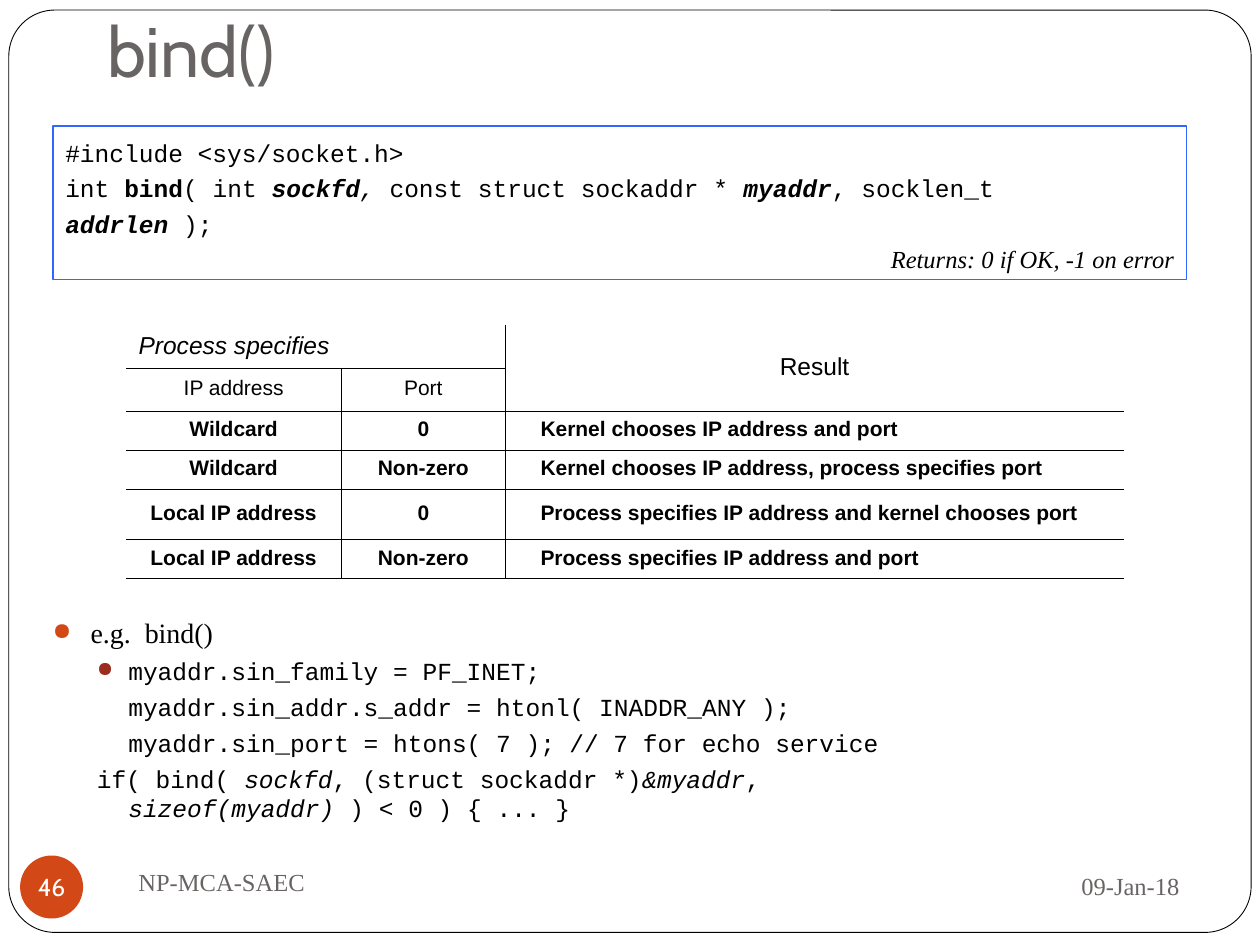
from lxml.etree import SubElement
from pptx import Presentation
from pptx.dml.color import RGBColor
from pptx.enum.shapes import MSO_SHAPE as SHAPE
from pptx.enum.text import MSO_ANCHOR as ANCHOR, PP_ALIGN as ALIGN
from pptx.oxml.ns import qn
from pptx.util import Emu, Inches, Pt

SLIDE_W, SLIDE_H = Inches(10), Inches(7.5)
COLS, ROWS = 100, 75
MONO, SERIF, SANS, HEAD = "Courier New", "Times New Roman", "Arial", "Cabin"
BLACK, GRAY, WHITE, ORANGE, RUST, BLUE = (
    "000000", "696464", "FFFFFF", "D34817", "9B2D1F", "3366FF")

RESULTS = [
    ("Wildcard", "0", "Kernel chooses IP address and port"),
    ("Wildcard", "Non-zero", "Kernel chooses IP address, process specifies port"),
    ("Local IP address", "0", "Process specifies IP address and kernel chooses port"),
    ("Local IP address", "Non-zero", "Process specifies IP address and port"),
]


def color(hex_code):
    return RGBColor.from_string(hex_code)


def across(n):
    return Emu(round(SLIDE_W * n / COLS))


def down(n):
    return Emu(round(SLIDE_H * n / ROWS))


def grid(x, y, w, h):
    return across(x), down(y), across(w), down(h)


def add_runs(p, parts, size, font, ink=BLACK):
    for text, style in parts:
        if text == "\n":
            p.add_line_break()
            continue
        r = p.add_run()
        r.text = text
        r.font.size, r.font.name = Pt(size), font
        r.font.bold, r.font.italic = "b" in style, "i" in style
        r.font.color.rgb = color(ink)


def next_paragraph(tf):
    return tf.paragraphs[0] if not tf.paragraphs[0].runs else tf.add_paragraph()


def add_shape(s, kind, box, fill=None, line=None, width=0.75):
    sp = s.shapes.add_shape(kind, *box)
    sp.shadow.inherit = False
    if fill:
        sp.fill.solid()
        sp.fill.fore_color.rgb = color(fill)
    else:
        sp.fill.background()
    if line:
        sp.line.color.rgb = color(line)
        sp.line.width = Pt(width)
    else:
        sp.line.fill.background()
    return sp


def add_label(s, box, text, align):
    tf = s.shapes.add_textbox(*box).text_frame
    tf.word_wrap, tf.vertical_anchor = True, ANCHOR.MIDDLE
    p = tf.paragraphs[0]
    p.alignment = align
    add_runs(p, [(text, "")], 14, SERIF, GRAY)


def set_indent(p, left, hanging=0, bullet=None, tab=None):
    pPr = p._p.get_or_add_pPr()
    pPr.set("marL", str(Inches(left)))
    pPr.set("indent", str(-Inches(hanging)))
    if bullet:
        SubElement(SubElement(pPr, qn("a:buClr")), qn("a:srgbClr"), val=bullet)
        SubElement(pPr, qn("a:buSzPct"), val="85000")
        SubElement(pPr, qn("a:buChar"), char="●")
    else:
        SubElement(pPr, qn("a:buNone"))
    if tab:
        SubElement(SubElement(pPr, qn("a:tabLst")), qn("a:tab"),
                   pos=str(Inches(tab)), algn="l")


def set_borders(cell, sides):
    tcPr = cell._tc.get_or_add_tcPr()
    for side in "LRTB":
        if side in sides:
            ln = SubElement(tcPr, qn("a:ln" + side), w=str(Pt(0.23)))
            SubElement(SubElement(ln, qn("a:solidFill")), qn("a:srgbClr"), val=BLACK)
        else:
            ln = SubElement(tcPr, qn("a:ln" + side), w="0")
            SubElement(ln, qn("a:noFill"))


def fill_cell(cell, text, size, style="", align=ALIGN.CENTER):
    p = cell.text_frame.paragraphs[0]
    p.alignment, p.line_spacing, p.space_before = align, 0.94, Pt(size * 0.63)
    add_runs(p, [(text, style)], size, SANS)


def add_title(s):
    title = s.shapes.title
    title.left, title.top, title.width, title.height = grid(7.5, 0, 85, 8.3)
    tf = title.text_frame
    tf.vertical_anchor, tf.margin_bottom = ANCHOR.BOTTOM, Inches(0.1)
    p = tf.paragraphs[0]
    p.alignment = ALIGN.LEFT
    add_runs(p, [("bind()", "")], 40, HEAD, GRAY)


def add_signature(s):
    tf = add_shape(s, SHAPE.RECTANGLE, grid(4.2, 10, 90, 12.2), line=BLUE).text_frame
    tf.word_wrap, tf.vertical_anchor = True, ANCHOR.TOP
    lines = [
        ([("#include <sys/socket.h>", "")], MONO, ALIGN.LEFT),
        ([("int ", ""), ("bind", "b"), ("( int ", ""), ("sockfd", "bi"), (",", "i"),
          (" const struct sockaddr * ", ""), ("myaddr", "bi"), (", socklen_t", ""),
          ("\n", ""), ("addrlen", "bi"), (" );", "")], MONO, ALIGN.LEFT),
        ([("Returns: 0 if OK, -1 on error", "i")], SERIF, ALIGN.RIGHT),
    ]
    for parts, font, align in lines:
        p = next_paragraph(tf)
        p.alignment, p.line_spacing = align, 1.2
        add_runs(p, parts, 14, font)


def add_results(s):
    widths, heights = (17.1, 13, 49.1), (3.4, 3.4, 3.1, 3.1, 4, 3.1)
    box = grid(10, 25.8, sum(widths), sum(heights))
    table = s.shapes.add_table(len(heights), len(widths), *box).table
    table.first_row = table.horz_banding = False
    for column, width in zip(table.columns, widths):
        column.width = across(width)
    for row, height in zip(table.rows, heights):
        row.height = down(height)
    for i in range(len(heights)):
        for j in range(len(widths)):
            cell = table.cell(i, j)
            set_borders(cell, "B" + "T" * (i > 0) + "L" * (j > 0) + "R" * (j < 2))
            cell.fill.background()
            cell.vertical_anchor = ANCHOR.MIDDLE
    table.cell(0, 0).merge(table.cell(0, 1))
    table.cell(0, 2).merge(table.cell(1, 2))
    fill_cell(table.cell(0, 0), "Process specifies", 14, "i", ALIGN.LEFT)
    fill_cell(table.cell(0, 2), "Result", 14)
    fill_cell(table.cell(1, 0), "IP address", 12)
    fill_cell(table.cell(1, 1), "Port", 12)
    for i, (address, port, result) in enumerate(RESULTS, 2):
        fill_cell(table.cell(i, 0), address, 12, "b")
        fill_cell(table.cell(i, 1), port, 12, "b")
        fill_cell(table.cell(i, 2), result, 12, "b", ALIGN.LEFT)
        table.cell(i, 2).margin_left = Inches(0.28)


def add_example(s):
    tf = s.shapes.add_textbox(*grid(3.2, 48.4, 90.9, 22)).text_frame
    tf.word_wrap = True
    p = next_paragraph(tf)
    p.space_before = Pt(5.8)
    set_indent(p, 0.3, 0.3, ORANGE)
    add_runs(p, [("e.g.  bind()", "")], 16, SERIF)
    code = [
        ([("myaddr.sin_family = PF_INET;", "")], 0.25, RUST, None),
        ([("myaddr.sin_addr.s_addr = htonl( INADDR_ANY );", "")], 0, None, None),
        ([("myaddr.sin_port = htons( 7 );\t// 7 for echo service", "")], 0, None, 4),
        ([("if( bind( ", ""), ("sockfd", "i"), (", (struct sockaddr *)", ""),
          ("&myaddr", "i"), (",", ""), ("\n", ""), ("sizeof(myaddr)", "i"),
          (" ) < 0 ) { ... }", "")], 0.25, None, None),
    ]
    for parts, hanging, bullet, tab in code:
        p = next_paragraph(tf)
        p.level, p.space_before = 1, Pt(3.7)
        set_indent(p, 0.6, hanging, bullet, tab)
        add_runs(p, parts, 14, MONO)


def add_footer(s):
    add_label(s, grid(67.5, 67.7, 27.1, 5.2), "09-Jan-18", ALIGN.RIGHT)
    tf = add_shape(s, SHAPE.OVAL, grid(1.6, 67.9, 5, 5), fill=ORANGE).text_frame
    tf.margin_left = tf.margin_right = tf.margin_top = tf.margin_bottom = 0
    tf.word_wrap, tf.vertical_anchor = False, ANCHOR.MIDDLE
    p = tf.paragraphs[0]
    p.alignment = ALIGN.CENTER
    add_runs(p, [("46", "")], 14, HEAD, WHITE)
    add_label(s, grid(10, 67.5, 43.3, 5), "NP-MCA-SAEC", ALIGN.LEFT)


def main():
    prs = Presentation()
    prs.slide_width, prs.slide_height = SLIDE_W, SLIDE_H
    s = prs.slides.add_slide(prs.slide_layouts[5])
    frame = add_shape(s, SHAPE.ROUNDED_RECTANGLE, grid(0.7, 0.8, 98.6, 73.2),
                      line=BLACK, width=0.5)
    frame.adjustments[0] = 0.05
    add_title(s)
    add_example(s)
    add_signature(s)
    add_results(s)
    add_footer(s)
    prs.save("out.pptx")


if __name__ == "__main__":
    main()
